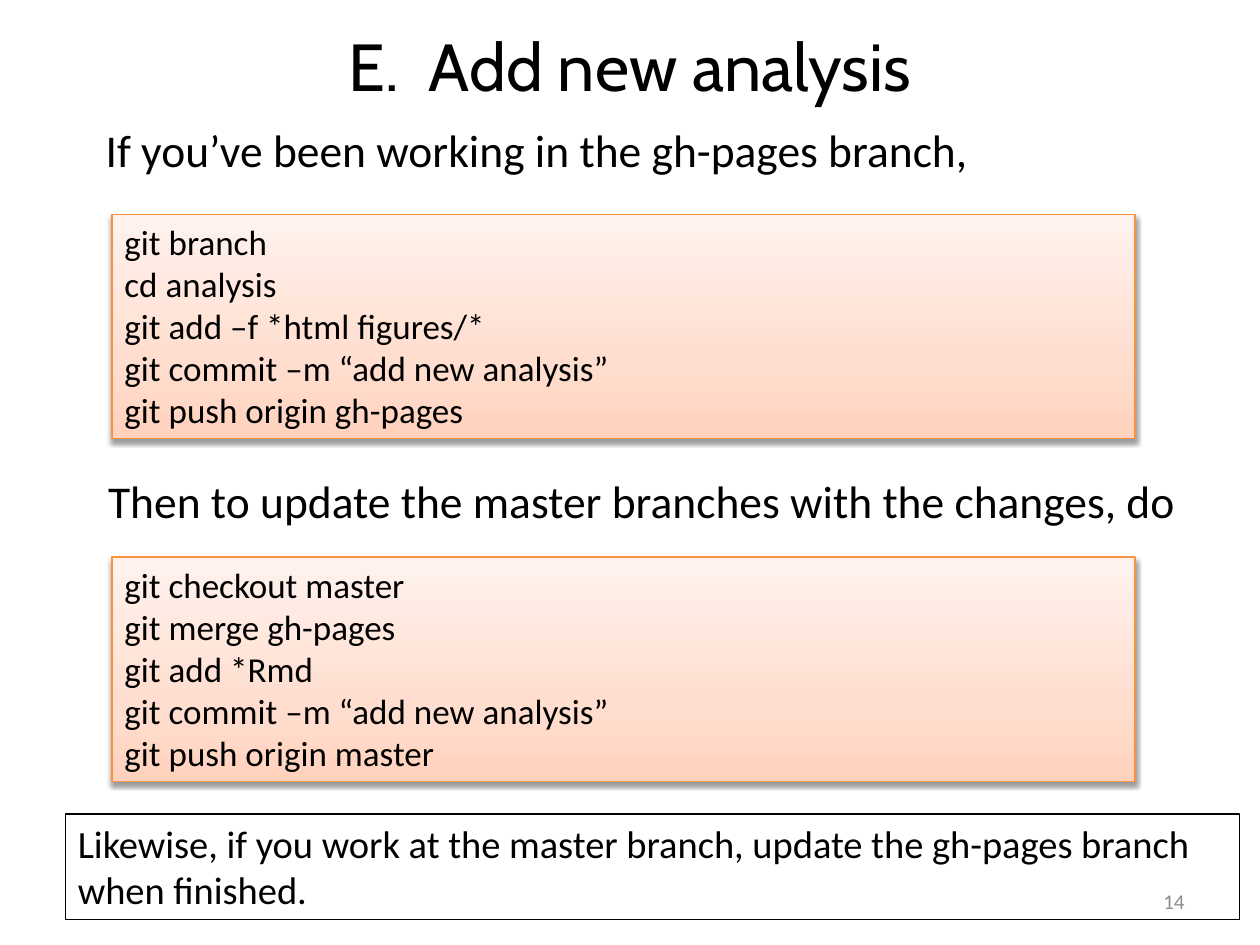
import copy
import lxml.etree
import pptx
import pptx.dml.color
import pptx.enum.shapes
import pptx.enum.text
import pptx.oxml
import pptx.oxml.ns
import pptx.util

Cm, Pt = pptx.util.Cm, pptx.util.Pt
PP_ALIGN = pptx.enum.text.PP_ALIGN
ANCHOR = pptx.enum.text.MSO_ANCHOR
RECTANGLE = pptx.enum.shapes.MSO_SHAPE.RECTANGLE
FIT = pptx.enum.text.MSO_AUTO_SIZE.SHAPE_TO_FIT_TEXT
A_NS = pptx.oxml.ns.nsdecls("a")


def colour(hex_string):
    return pptx.dml.color.RGBColor.from_string(hex_string)


def write(shape, lines, size, font="Calibri", align=PP_ALIGN.LEFT, **frame_format):
    frame = shape.text_frame
    frame.text = "\n".join(lines)
    frame_values = {"word_wrap": True, "vertical_anchor": ANCHOR.TOP,
                    "auto_size": FIT, **frame_format}
    for attribute, value in frame_values.items():
        setattr(frame, attribute, value)
    for paragraph in frame.paragraphs:
        paragraph.alignment = align
        for attribute, value in {"name": font, "size": Pt(size)}.items():
            setattr(paragraph.font, attribute, value)
        for run in paragraph.runs:
            run.font.name = font
            run.font.size = Pt(size)
            run.font.color.rgb = colour("000000")


deck = pptx.Presentation()
deck.slide_width, deck.slide_height = Cm(25.4), Cm(19.05)
slide = deck.slides.add_slide(deck.slide_layouts[5])

# Title
title = slide.shapes.title
for attribute, value in {"left": Cm(1.27), "top": Cm(-0.28),
                         "width": Cm(22.86), "height": Cm(3.18)}.items():
    setattr(title, attribute, value)
write(title, ["E.  Add new analysis"], 38, "Cabin", PP_ALIGN.CENTER,
      vertical_anchor=ANCHOR.MIDDLE, auto_size=pptx.enum.text.MSO_AUTO_SIZE.NONE)

# Each step: an introduction and its commands
steps = [
    ("If you’ve been working in the gh-pages branch,", 1.27, 2.34, 4.32,
     ["git branch", "cd analysis", "git add –f *html figures/*",
      "git commit –m “add new analysis”", "git push origin gh-pages"]),
    ("Then to update the master branches with the changes, do", 1.32, 9.42, 11.23,
     ["git checkout master", "git merge gh-pages", "git add *Rmd",
      "git commit –m “add new analysis”", "git push origin master"]),
]
gradient = [(0, "FFD2BD"), (0.35, "FFDED0"), (1, "FFF2ED")]
for intro_text, intro_left, intro_top, commands_top, command_lines in steps:
    commands = slide.shapes.add_shape(
        RECTANGLE, Cm(2.26), Cm(commands_top), Cm(20.62), Cm(4.52))
    commands.fill.gradient()
    commands.fill.gradient_angle = 90
    stop_list = commands.element.spPr.find(".//" + pptx.oxml.ns.qn("a:gsLst"))
    stop_list.append(copy.deepcopy(stop_list[-1]))
    for stop, (position, shade) in zip(commands.fill.gradient_stops, gradient):
        stop.position = position
        stop.color.rgb = colour(shade)
    commands.line.color.rgb = colour("F69240")
    commands.line.width = Pt(0.75)

    # Soft shadow below the commands
    commands.shadow.inherit = False
    effects = commands.element.spPr.find(pptx.oxml.ns.qn("a:effectLst"))
    effects.append(pptx.oxml.parse_xml(
        f'<a:outerShdw {A_NS} blurRad="40000" dist="20000" dir="5400000" rotWithShape="0">'
        '<a:srgbClr val="000000"><a:alpha val="38000"/></a:srgbClr></a:outerShdw>'))
    write(commands, command_lines, 20)

    intro = slide.shapes.add_textbox(
        Cm(intro_left), Cm(intro_top), Cm(23.67), Cm(1.37))
    write(intro, [intro_text], 26, margin_left=Cm(0.86))

# Closing note
note = slide.shapes.add_shape(RECTANGLE, Cm(1.32), Cm(16.41), Cm(23.67), Cm(2.13))
note.shadow.inherit = False
note.fill.background()
note.line.color.rgb = colour("000000")
note.line.width = Pt(0.75)
write(note, ["Likewise, if you work at the master branch, "
             "update the gh-pages branch when finished."], 22)

# Slide number
number = slide.shapes.add_textbox(Cm(18.21), Cm(17.65), Cm(5.92), Cm(1.02))
write(number, ["14"], 12, align=PP_ALIGN.RIGHT, vertical_anchor=ANCHOR.MIDDLE,
      auto_size=pptx.enum.text.MSO_AUTO_SIZE.NONE)
number.text_frame.paragraphs[0].runs[0].font.color.rgb = colour("8C8C8C")

deck.save("out.pptx")
